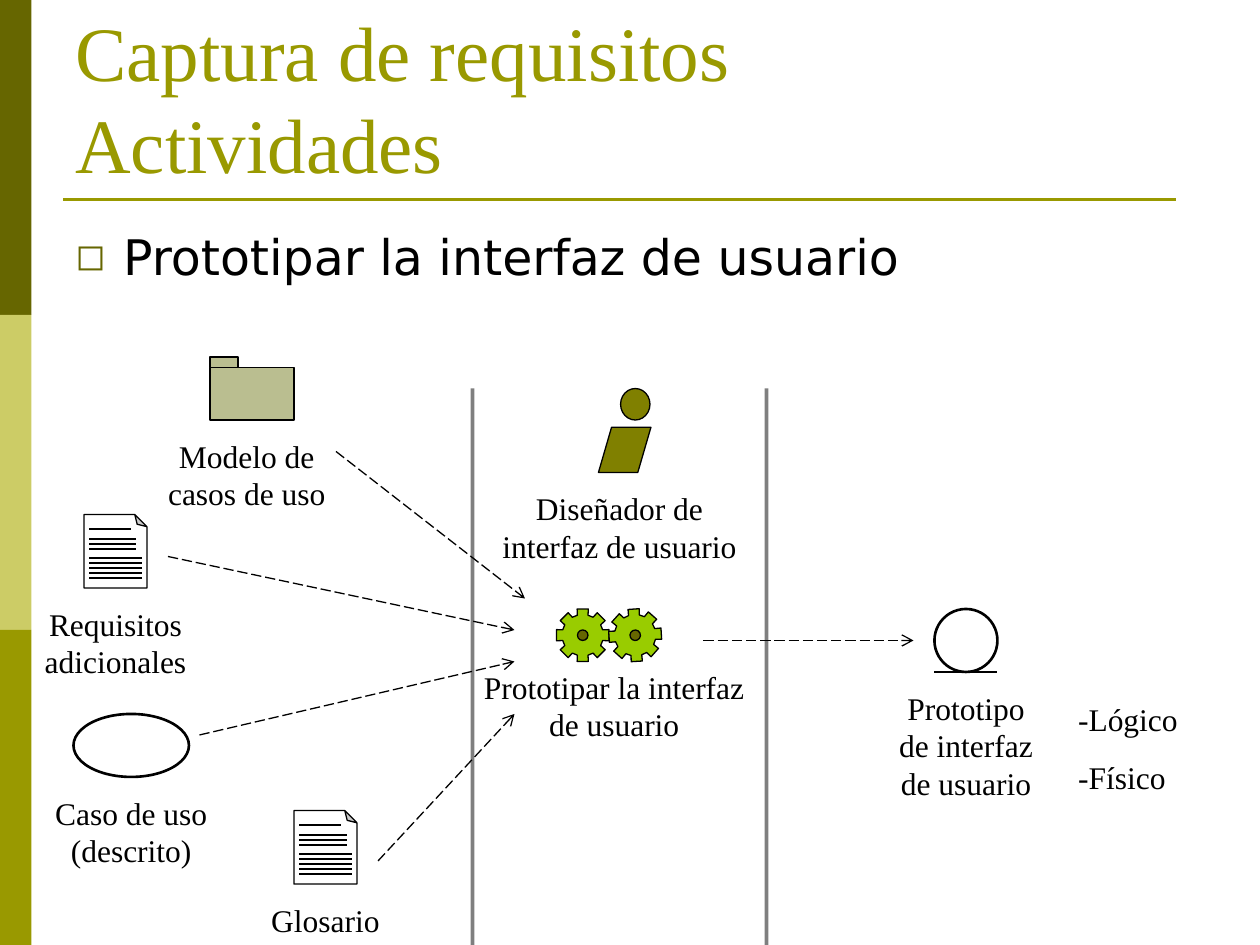
from math import cos, radians, sin

from lxml import etree
from pptx import Presentation
from pptx import util as u
from pptx.dml.color import RGBColor
from pptx.enum import dml, shapes, text
from pptx.oxml.ns import qn

CELL = u.Inches(1) / 12  # the slide is a grid of 120 columns by 90 rows
SERIF, SANS = "Times New Roman", "DejaVu Sans"
BLACK = RGBColor(0x00, 0x00, 0x00)
WHITE = RGBColor(0xFF, 0xFF, 0xFF)
DARK_OLIVE = RGBColor(0x66, 0x66, 0x00)
OLIVE = RGBColor(0x99, 0x99, 0x00)
PALE_OLIVE = RGBColor(0xCC, 0xCC, 0x66)
WORKER = RGBColor(0x80, 0x80, 0x00)
FOLDER = RGBColor(0xBA, 0xBE, 0x90)
GEAR = RGBColor(0x99, 0xCC, 0x00)
KIND = shapes.MSO_SHAPE


def grid(*cells):
    return [u.Emu(round(cell * CELL)) for cell in cells]


def paint(shape, fill, width):
    shape.shadow.inherit = False
    if fill is None:
        shape.fill.background()
    else:
        shape.fill.solid()
        shape.fill.fore_color.rgb = fill
    if width:
        shape.line.color.rgb = BLACK
        shape.line.width = u.Pt(width)
    else:
        shape.line.fill.background()


def add_box(page, kind, area, fill=None, width=0.75):
    box = page.shapes.add_shape(kind, *grid(*area))
    paint(box, fill, width)
    return box


def add_line(page, start, end, width, color=BLACK):
    line = page.shapes.add_connector(shapes.MSO_CONNECTOR.STRAIGHT, *grid(*start, *end))
    line.line.color.rgb = color
    line.line.width = u.Pt(width)
    etree.SubElement(line._element.spPr, qn("a:effectLst"))
    return line


def add_arrow(page, start, end):
    arrow = add_line(page, start, end, 0.75)
    arrow.line.dash_style = dml.MSO_LINE.LONG_DASH
    outline = arrow._element.spPr.find(qn("a:ln"))
    etree.SubElement(outline, qn("a:tailEnd"), type="arrow")


def add_lane(page, column):
    """Half-transparent vertical divider."""
    lane = add_line(page, (column, 37), (column, 90), 2.25)
    color = lane._element.spPr.find(".//" + qn("a:srgbClr"))
    etree.SubElement(color, qn("a:alpha"), val="50000")


def add_text(page, words, area, size=18, font=SERIF, color=BLACK, align=None,
             anchor=text.MSO_ANCHOR.TOP, before=0):
    box = page.shapes.add_textbox(*grid(*area))
    frame = box.text_frame
    frame.word_wrap = True
    frame.vertical_anchor = anchor
    frame.text = words
    for para in frame.paragraphs:
        para.alignment = align
        para.space_before = u.Pt(before)
        for span in para.runs:
            span.font.size = u.Pt(size)
            span.font.name = font
            span.font.color.rgb = color
    return box


def add_caption(page, words, area, before=0):
    add_text(page, words, area, align=text.PP_ALIGN.CENTER, before=before)


def add_bullet(para):
    properties = para._p.get_or_add_pPr()
    properties.set("marL", str(u.Inches(0.38)))
    properties.set("indent", str(-u.Inches(0.38)))
    color = etree.SubElement(properties, qn("a:buClr"))
    etree.SubElement(color, qn("a:srgbClr"), val=str(DARK_OLIVE))
    etree.SubElement(properties, qn("a:buSzPct"), val="75000")
    etree.SubElement(properties, qn("a:buFont"), typeface=SANS)
    etree.SubElement(properties, qn("a:buChar"), char="◻")


def add_gear(page, center, phase=0, rotation=0):
    """Eight-toothed wheel with a hub; phase turns the outline itself."""
    x, y = center
    tooth = ((-15, 1.97), (-12, 2.55), (12, 2.55), (15, 1.97))
    points = []
    for turn in range(0, 360, 45):
        for offset, radius in tooth:
            angle = radians(turn + offset + phase)
            points.append(grid(x + radius * sin(angle), y - radius * cos(angle)))
    builder = page.shapes.build_freeform(*points[0])
    builder.add_line_segments(points[1:], close=True)
    wheel = builder.convert_to_shape()
    paint(wheel, GEAR, 0.75)
    hub = add_box(page, KIND.OVAL, (x - 0.5, y - 0.5, 1, 1), DARK_OLIVE)
    wheel.rotation = hub.rotation = rotation


def add_document(page, left, top):
    sheet = add_box(page, KIND.FOLDED_CORNER, (left, top, 6, 7), WHITE)
    sheet.rotation = 180
    properties = sheet._element.spPr
    properties.find(qn("a:xfrm")).set("flipH", "1")
    fold = properties.find(".//" + qn("a:avLst"))
    etree.SubElement(fold, qn("a:gd"), name="adj", fmla="val 19300")
    # first row, number of rows and length of each block of writing
    for first, count, length in ((1.4, 1, 4), (2.35, 3, 4.5), (4.15, 5, 5)):
        for row in range(count):
            y = top + first + row * 0.48
            add_line(page, (left + 0.5, y), (left + 0.5 + length, y), 1.25)


def add_frame(page):
    for row, color in enumerate((DARK_OLIVE, PALE_OLIVE, OLIVE)):
        add_box(page, KIND.RECTANGLE, (0, row * 30, 3, 30), color, 0)
    add_line(page, (6, 19), (112, 19), 1.5, OLIVE)
    add_text(page, "Captura de requisitos\vActividades", (6, 3.6, 108, 15), 44,
             color=OLIVE, anchor=text.MSO_ANCHOR.BOTTOM)
    body = add_text(page, "Prototipar la interfaz de usuario", (6, 21, 108, 59.4),
                    28, SANS, before=7)
    add_bullet(body.text_frame.paragraphs[0])


def add_inputs(page):
    add_box(page, KIND.RECTANGLE, (20, 35, 8, 5), FOLDER)
    add_box(page, KIND.RECTANGLE, (20, 34, 2.67, 1), FOLDER)
    add_caption(page, "Modelo de casos de uso", (13, 41, 21, 8.4))
    add_document(page, 8, 49)
    add_caption(page, "Requisitos adicionales", (3, 57, 16, 8.4))
    add_box(page, KIND.OVAL, (7, 68, 11, 6), width=1.5)
    add_caption(page, "Caso de uso\n(descrito)", (4, 75, 17, 8.4))
    add_document(page, 28, 77.2)
    add_caption(page, "Glosario", (23, 85.2, 16, 4.8))


def add_activity(page):
    body = add_box(page, KIND.PARALLELOGRAM, (57, 40.7, 5, 4.3), WORKER)
    body.adjustments[0] = 0.291
    add_box(page, KIND.OVAL, (59.1, 37, 2.8, 3), WORKER)
    add_caption(page, "Diseñador de interfaz de usuario", (46, 46, 26, 8.4))
    add_gear(page, (55.5, 60.5))
    add_gear(page, (60.5, 60.5), phase=22.5, rotation=334)
    add_caption(page, "Prototipar la interfaz de usuario", (44, 63, 29, 8.4), 11.2)


def add_result(page):
    add_line(page, (89, 64), (95, 64), 1.5)
    add_box(page, KIND.OVAL, (89, 58, 6, 6), width=1.5)
    add_caption(page, "Prototipo de interfaz de usuario", (84, 65, 16, 12))
    add_text(page, "-Lógico\n-Físico", (101.5, 66.1, 13.7, 10.3), before=11.2)


def main():
    deck = Presentation()
    deck.slide_width, deck.slide_height = grid(120, 90)
    page = deck.slides.add_slide(deck.slide_layouts[6])
    add_frame(page)
    for column in (45, 73):
        add_lane(page, column)
    add_inputs(page)
    add_activity(page)
    add_result(page)
    for start, end in (((67, 61), (87, 61)), ((32, 43), (50, 57)),
                       ((16, 53), (49, 60)), ((36, 82), (49, 68)),
                       ((19, 70), (49, 63))):
        add_arrow(page, start, end)
    deck.save("out.pptx")


if __name__ == "__main__":
    main()
